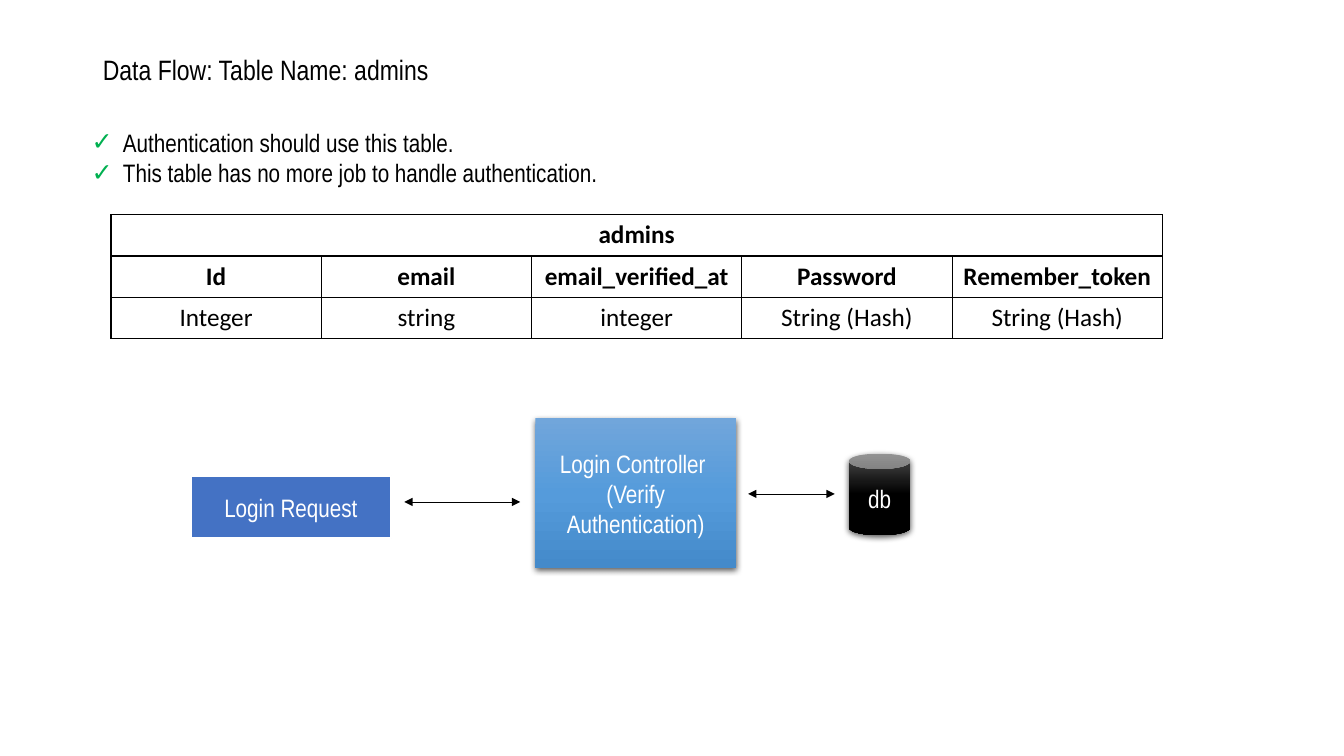
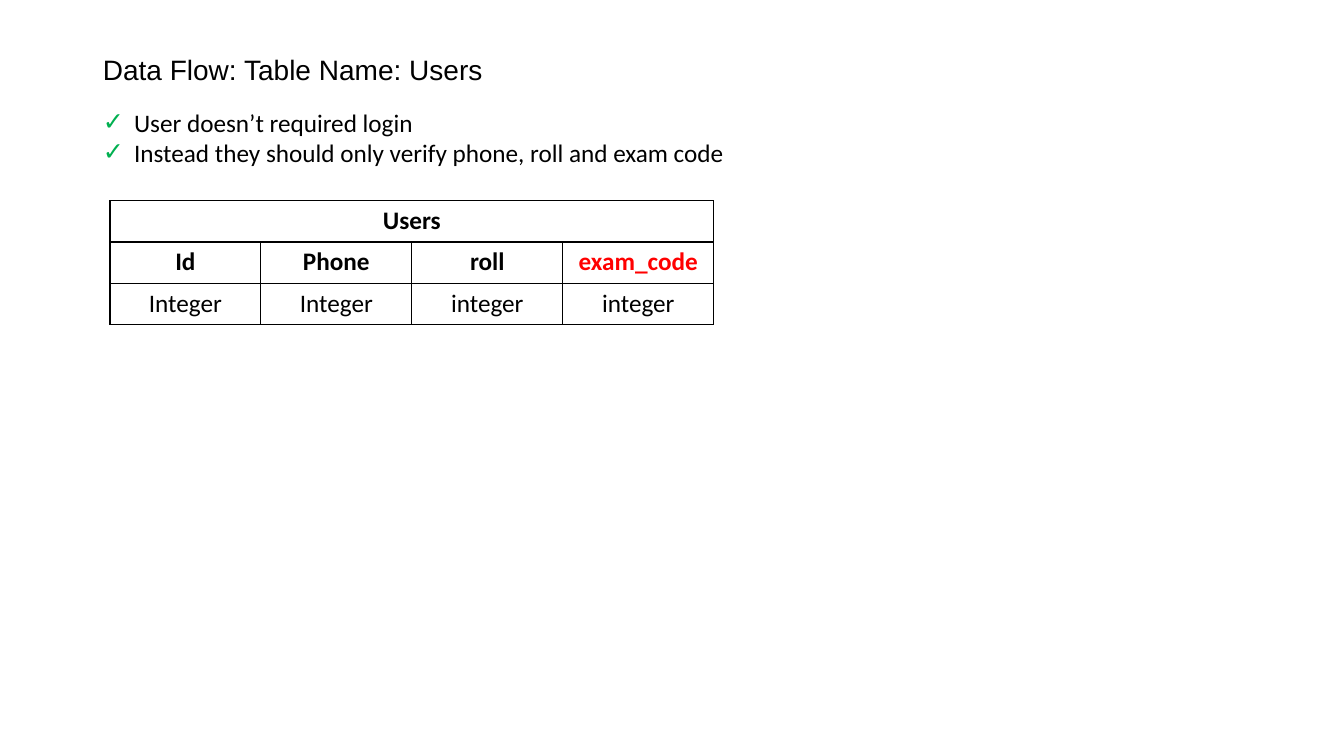
import copy

import pptx
import pptx.dml.color
import pptx.enum.shapes
import pptx.enum.text
import pptx.oxml
import pptx.oxml.ns
import pptx.util
from pptx.util import Inches

RGBColor = pptx.dml.color.RGBColor
Align = pptx.enum.text.PP_ALIGN
Anchor = pptx.enum.text.MSO_ANCHOR
Shape = pptx.enum.shapes.MSO_SHAPE

BLACK = RGBColor(0x00, 0x00, 0x00)
WHITE = RGBColor(0xFF, 0xFF, 0xFF)
RED = RGBColor(0xFF, 0x00, 0x00)
GREEN = RGBColor(0x00, 0xB0, 0x50)
BLUE = RGBColor(0x44, 0x72, 0xC4)
BLUE_GRADIENT = (RGBColor(0x71, 0xA6, 0xDB), RGBColor(0x55, 0x9B, 0xDB),
                 RGBColor(0x44, 0x8A, 0xCA))
BLACK_GRADIENT = (RGBColor(0x4B, 0x4B, 0x4B), BLACK, BLACK)

NARROW, SANS, TABLE_FONT = "Arial Narrow", "Arial", "Calibri"
ROW_HEIGHT = 0.41


def xml(markup):
    """Build a drawing element from its tag, attributes and children."""
    start, rest = markup.split(" ", 1)
    namespace = pptx.oxml.ns.nsdecls("a")
    return pptx.oxml.parse_xml(f"{start} {namespace} {rest}")


def write(frame, text, font=NARROW, size=18, color=BLACK, bold=False,
          align=Align.LEFT, anchor=None, spacing=1.0):
    """Fill a text frame, one paragraph for each line of the text."""
    frame.word_wrap = True
    if anchor is not None:
        frame.vertical_anchor = anchor
    for number, line in enumerate(text.split("\n")):
        para = frame.add_paragraph() if number else frame.paragraphs[0]
        para.alignment = align
        para.line_spacing = spacing
        para.space_before = pptx.util.Pt(0)
        span = para.add_run()
        span.text = line
        span.font.name = font
        span.font.size = pptx.util.Pt(size)
        span.font.bold = bold
        span.font.color.rgb = color


class SlideBuilder:
    """Holds the deck's style and the slide being drawn."""

    def __init__(self, deck):
        self.deck = deck
        self.layout = deck.slide_layouts[1]
        self.slide = None

    def new_slide(self):
        self.slide = self.deck.slides.add_slide(self.layout)

    def place(self, holder, left, top, width, height):
        holder.left, holder.top = Inches(left), Inches(top)
        holder.width, holder.height = Inches(width), Inches(height)
        holder.text_frame.auto_size = pptx.enum.text.MSO_AUTO_SIZE.NONE
        return holder.text_frame

    def title(self, text, font):
        frame = self.place(self.slide.shapes.title, 0.92, 0.4, 5.11, 0.62)
        write(frame, text, font=font, size=20, anchor=Anchor.MIDDLE, spacing=0.9)

    def checklist(self, text, left, top, width, font):
        frame = self.place(self.slide.placeholders[1], left, top, width, 0.71)
        write(frame, text, font=font, anchor=Anchor.TOP)
        for para in frame.paragraphs:
            properties = para._p.get_or_add_pPr()
            properties.set("marL", str(Inches(0.31)))
            properties.set("indent", str(Inches(-0.31)))
            properties.append(xml(f'<a:buClr ><a:srgbClr val="{GREEN}"/></a:buClr>'))
            properties.append(xml('<a:buFont typeface="Arial"/>'))
            properties.append(xml('<a:buChar char="✓"/>'))

    def table(self, name, columns, left, top, width, red=()):
        """Draw a schema: name across the top, then fields and their types."""
        rows = [[name] + [""] * (len(columns) - 1), *zip(*columns)]
        grid = self.slide.shapes.add_table(
            len(rows), len(columns), Inches(left), Inches(top),
            Inches(width), Inches(ROW_HEIGHT * len(rows))).table
        grid.first_row = grid.horz_banding = False
        for column in grid.columns:
            column.width = Inches(width / len(columns))
        grid.cell(0, 0).merge(grid.cell(0, len(columns) - 1))
        for row, texts in enumerate(rows):
            grid.rows[row].height = Inches(ROW_HEIGHT)
            for column, text in enumerate(texts):
                cell = grid.cell(row, column)
                cell.fill.background()
                self.border(cell)
                if text:
                    write(cell.text_frame, text, font=TABLE_FONT, bold=row < 2,
                          color=RED if text in red else BLACK, align=Align.CENTER)

    def border(self, cell):
        properties = cell._tc.get_or_add_tcPr()
        for position, side in enumerate("LRTB"):
            properties.insert(position, xml(
                f'<a:ln{side} w="{pptx.util.Pt(1)}"><a:solidFill>'
                f'<a:srgbClr val="{BLACK}"/></a:solidFill></a:ln{side}>'))

    def box(self, text, kind, left, top, width, height, fill=None, gradient=None):
        """Draw a box: flat with a white outline, or shaded with a shadow."""
        box = self.slide.shapes.add_shape(
            kind, Inches(left), Inches(top), Inches(width), Inches(height))
        box.shadow.inherit = False
        if gradient:
            box.line.fill.background()
            self.shade(box, gradient)
        else:
            box.fill.solid()
            box.fill.fore_color.rgb = fill
            box.line.color.rgb = WHITE
            box.line.width = pptx.util.Pt(1.5)
        write(box.text_frame, text, color=WHITE, align=Align.CENTER,
              anchor=Anchor.MIDDLE)

    def shade(self, box, colors):
        box.fill.gradient()
        box.fill.gradient_angle = 270
        properties = box._element.spPr
        stops = properties.find(".//" + pptx.oxml.ns.qn("a:gsLst"))
        stops.append(copy.deepcopy(stops[0]))
        for number, (stop, color) in enumerate(zip(box.fill.gradient_stops, colors)):
            stop.position = number / 2
            stop.color.rgb = color
        properties.find(pptx.oxml.ns.qn("a:effectLst")).append(xml(
            f'<a:outerShdw blurRad="{pptx.util.Pt(4.5)}" dist="{pptx.util.Pt(1.5)}" '
            f'dir="5400000" algn="ctr" rotWithShape="0"><a:srgbClr val="{BLACK}">'
            '<a:alpha val="63000"/></a:srgbClr></a:outerShdw>'))

    def double_arrow(self, start, end, height):
        arrow = self.slide.shapes.add_connector(
            pptx.enum.shapes.MSO_CONNECTOR.STRAIGHT,
            Inches(start), Inches(height), Inches(end), Inches(height))
        arrow.line.color.rgb = BLACK
        arrow.line.width = pptx.util.Pt(0.5)
        for tip in ("headEnd", "tailEnd"):
            arrow.line._get_or_add_ln().append(xml(f'<a:{tip} type="triangle"/>'))
        arrow._element.spPr.append(xml("<a:effectLst />"))


def main():
    deck = pptx.Presentation()
    deck.slide_width, deck.slide_height = Inches(13.33), Inches(7.5)
    builder = SlideBuilder(deck)

    # Admins: schema and login flow
    builder.new_slide()
    builder.title("Data Flow: Table Name: admins", NARROW)
    builder.checklist("Authentication should use this table.\n"
                      "This table has no more job to handle authentication.",
                      0.81, 1.21, 5.29, NARROW)
    builder.table("admins", [("Id", "Integer"), ("email", "string"),
                             ("email_verified_at", "integer"),
                             ("Password", "String (Hash)"),
                             ("Remember_token", "String (Hash)")],
                  1.1, 2.13, 10.43)
    builder.box("Login Request", Shape.RECTANGLE, 1.89, 4.72, 1.99, 0.62, fill=BLUE)
    builder.box("Login Controller \n(Verify Authentication)", Shape.RECTANGLE,
                5.31, 4.15, 1.99, 1.49, gradient=BLUE_GRADIENT)
    builder.box("db", Shape.CAN, 8.42, 4.5, 0.61, 0.81, gradient=BLACK_GRADIENT)
    builder.double_arrow(4.01, 5.16, 4.98)
    builder.double_arrow(7.42, 8.28, 4.9)

    # Users: schema only
    builder.new_slide()
    builder.title("Data Flow: Table Name: Users", SANS)
    builder.checklist("User doesn’t required login\n"
                      "Instead they should only verify phone, roll and exam code",
                      0.92, 1.01, 6.44, TABLE_FONT)
    builder.table("Users", [("Id", "Integer"), ("Phone", "Integer"),
                            ("roll", "integer"), ("exam_code", "integer")],
                  1.09, 1.99, 5.99, red=("exam_code",))

    deck.save("out.pptx")


if __name__ == "__main__":
    main()
